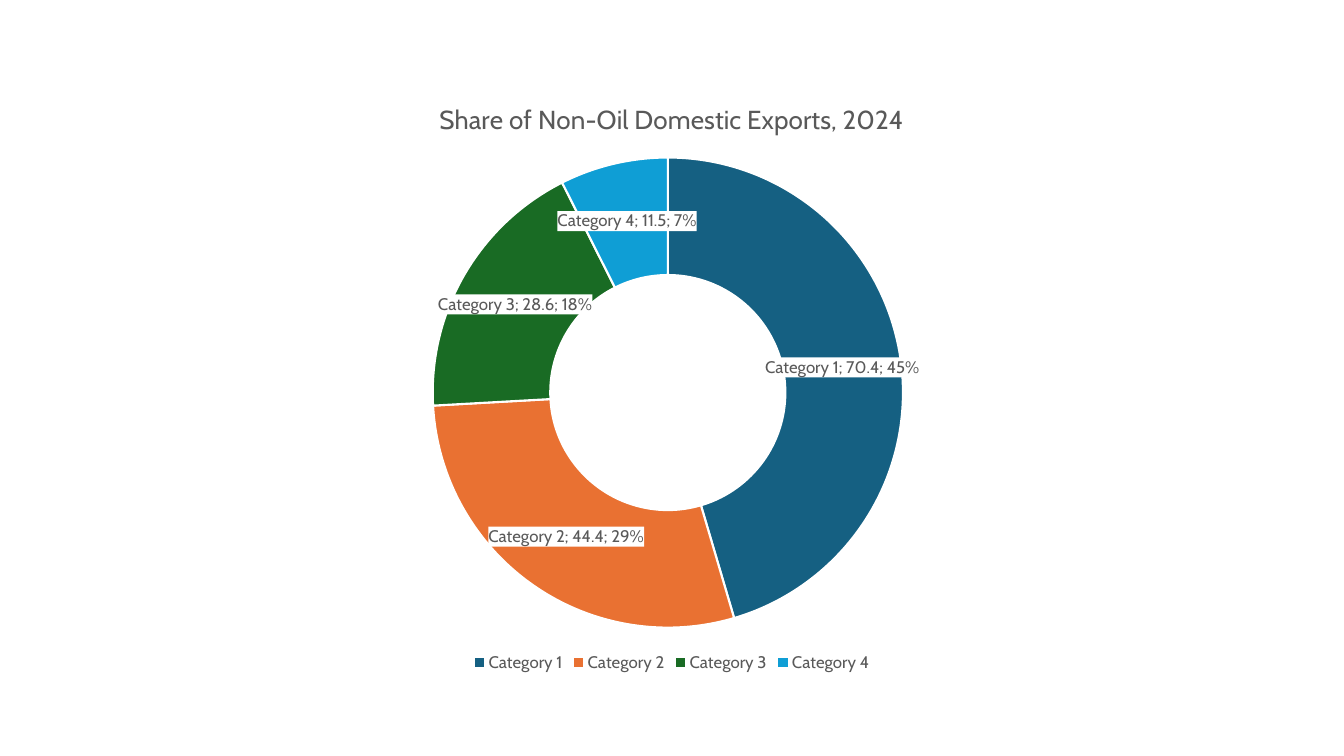
from pptx import Presentation
from pptx.chart.data import CategoryChartData
from pptx.dml.color import RGBColor
from pptx.enum import chart as charts
from pptx.oxml import ns, parse_xml
from pptx.util import Inches, Pt

FONT = "Cabin"
BLACK = RGBColor(0x00, 0x00, 0x00)
GREY = RGBColor(0x59, 0x59, 0x59)
WHITE = RGBColor(0xFF, 0xFF, 0xFF)
BLUE = RGBColor(0x15, 0x60, 0x82)
ORANGE = RGBColor(0xE9, 0x71, 0x32)
GREEN = RGBColor(0x19, 0x6B, 0x24)
SKY = RGBColor(0x0F, 0x9E, 0xD5)

TITLE = "Share of Non-Oil Domestic Exports, 2024"
EXPORTS = {
    "Category 1": (70.4, BLUE),
    "Category 2": (44.4, ORANGE),
    "Category 3": (28.6, GREEN),
    "Category 4": (11.5, SKY),
}
HOLE_PERCENT = 75


def format_font(font, size=12, color=GREY):
    """Apply the slide's typeface with a size and colour."""
    font.name = FONT
    font.size = Pt(size)
    font.bold = False
    font.color.rgb = color


def write_text(frame, words, **style):
    """Put formatted text into a text frame."""
    run = frame.paragraphs[0].add_run()
    run.text = words
    format_font(run.font, **style)


def color_segments(series, colors):
    """Fill each segment and part it from its neighbours with a white line."""
    for index, color in enumerate(colors):
        segment = series.points[index].format
        segment.fill.solid()
        segment.fill.fore_color.rgb = color
        segment.line.color.rgb = WHITE
        segment.line.width = Pt(1.5)


def label_segments(doughnut):
    """Show category, value and percentage on white label boxes."""
    plot = doughnut.plots[0]
    plot.has_data_labels = True
    labels = plot.data_labels
    labels.show_category_name = True
    labels.show_value = True
    labels.show_percentage = True
    format_font(labels.font)
    label_fill = parse_xml(
        f'<c:spPr {ns.nsdecls("c", "a")}><a:solidFill>'
        f'<a:srgbClr val="{WHITE}"/></a:solidFill></c:spPr>'
    )
    label_text = doughnut.element.find(f'.//{ns.qn("c:dLbls")}/{ns.qn("c:txPr")}')
    label_text.addprevious(label_fill)


def add_export_doughnut(slide, left, top, width, height):
    """Draw the export shares as a titled doughnut inside the given box."""
    values, colors = zip(*EXPORTS.values())
    shares = CategoryChartData()
    shares.categories = list(EXPORTS)
    shares.add_series(TITLE, values)
    doughnut = slide.shapes.add_chart(
        charts.XL_CHART_TYPE.DOUGHNUT, left, top, width, height, shares
    ).chart
    format_font(doughnut.font, size=10, color=BLACK)

    doughnut.has_title = True
    doughnut.chart_title.include_in_layout = False
    write_text(doughnut.chart_title.text_frame, TITLE, size=18.6)

    doughnut.has_legend = True
    doughnut.legend.position = charts.XL_LEGEND_POSITION.BOTTOM
    doughnut.legend.include_in_layout = False
    format_font(doughnut.legend.font)

    plot = doughnut.plots[0]
    plot.vary_by_categories = True
    color_segments(plot.series[0], colors)
    label_segments(doughnut)
    hole = doughnut.element.find(f'.//{ns.qn("c:holeSize")}')
    hole.set("val", str(HOLE_PERCENT))


def main():
    """Build and save the slide."""
    deck = Presentation()
    deck.slide_width, deck.slide_height = Inches(13.33), Inches(7.5)
    blank_layout = deck.slide_layouts.get_by_name("Blank")
    slide = deck.slides.add_slide(blank_layout)

    width, height = Inches(8.89), Inches(5.93)
    left = (deck.slide_width - width) // 2
    top = (deck.slide_height - height) // 2
    add_export_doughnut(slide, left, top, width, height)
    deck.save("out.pptx")


if __name__ == "__main__":
    main()
